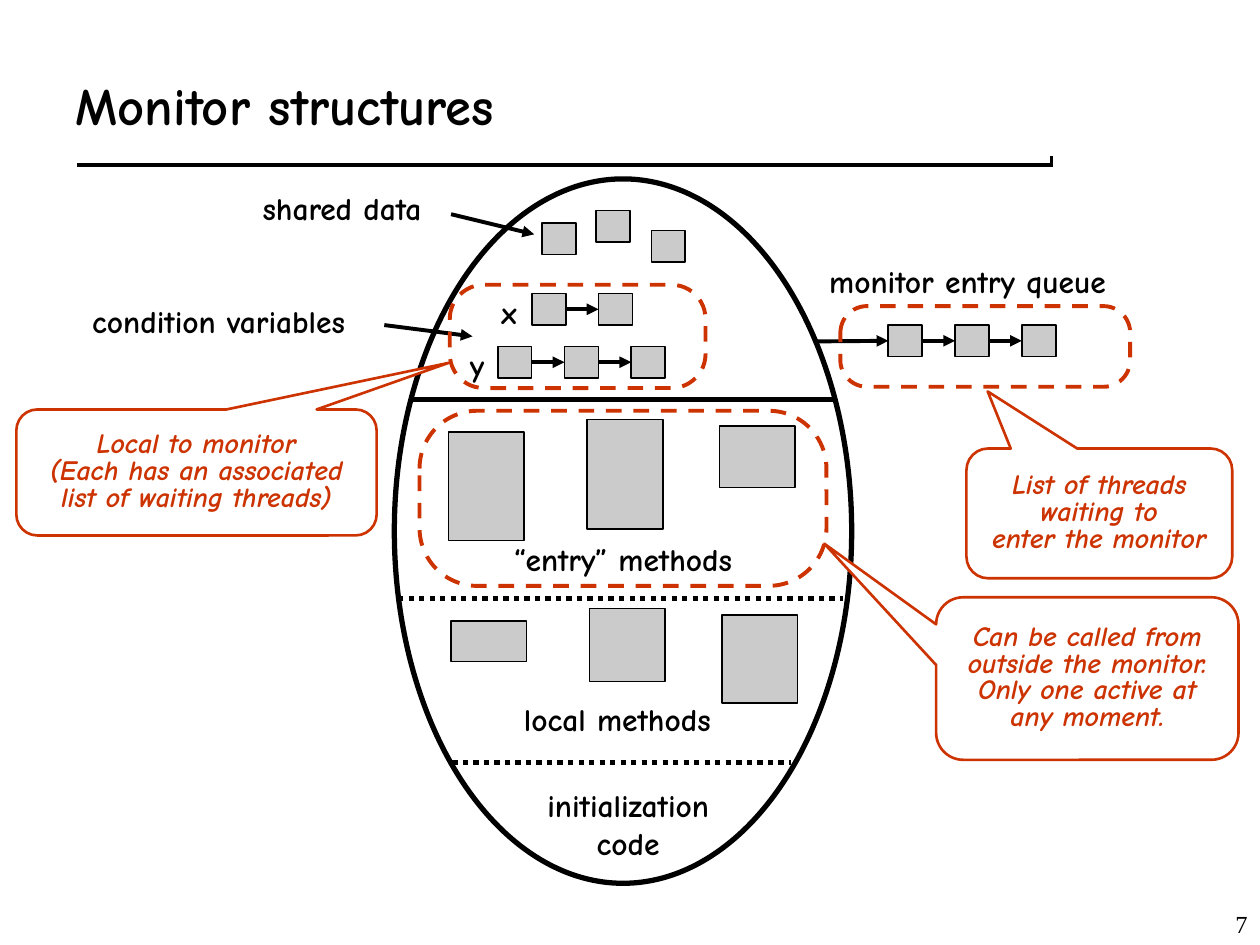
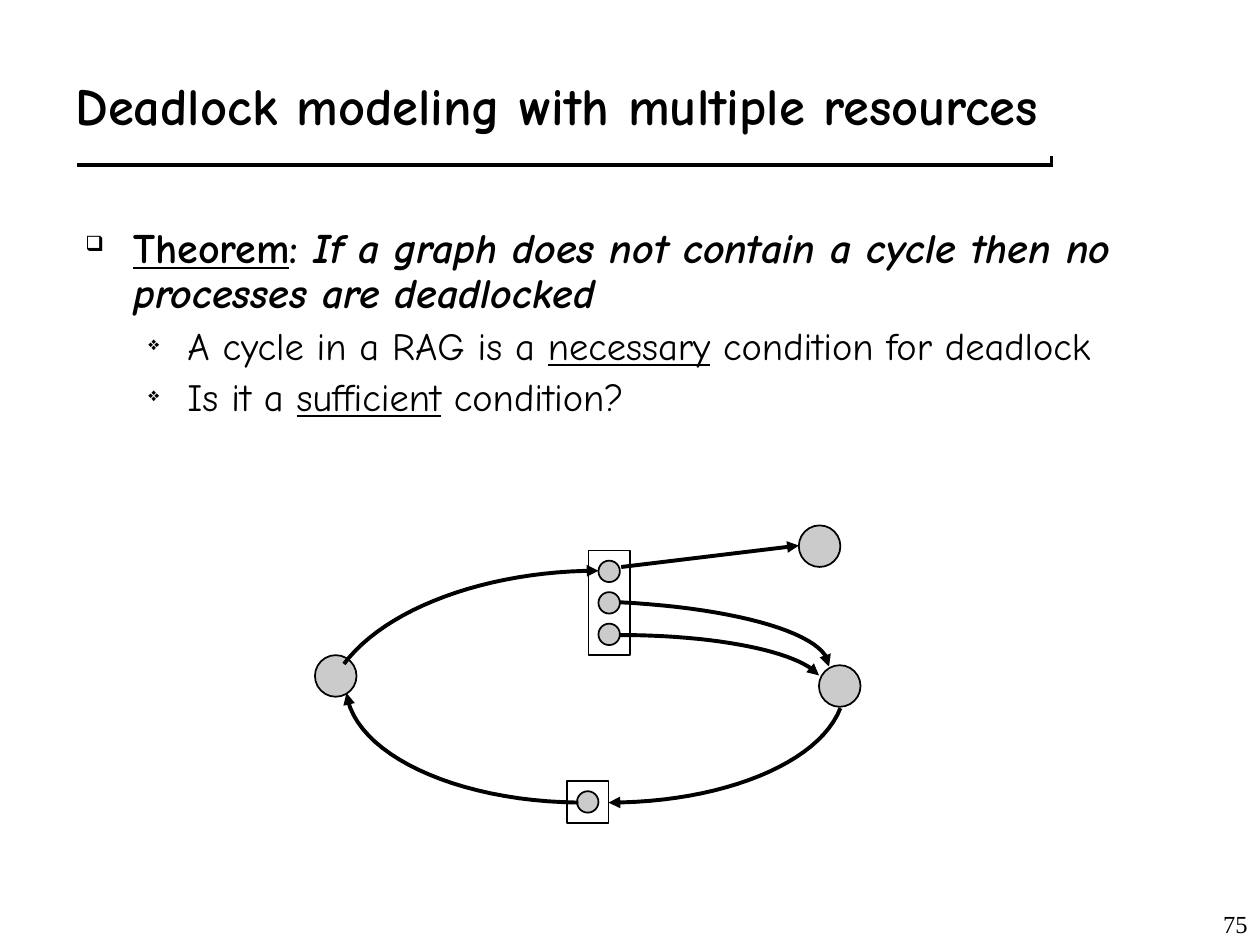
from lxml import etree
from pptx import Presentation
from pptx import util as u
from pptx.dml.color import RGBColor
from pptx.enum import dml, shapes, text
from pptx.oxml import ns

BLACK = RGBColor(0x00, 0x00, 0x00)
WHITE = RGBColor(0xFF, 0xFF, 0xFF)
GREY = RGBColor(0xCB, 0xCB, 0xCB)
RUST = RGBColor(0xCC, 0x33, 0x00)
HAND, SERIF = "Comic Neue", "Times New Roman"
RECT = shapes.MSO_SHAPE.RECTANGLE
OVAL = shapes.MSO_SHAPE.OVAL
ROUND = shapes.MSO_SHAPE.ROUNDED_RECTANGLE
CALLOUT = shapes.MSO_SHAPE.ROUNDED_RECTANGULAR_CALLOUT
LEFT, RIGHT = 1, 3
CENTER = text.PP_ALIGN.CENTER
BOX_W, BOX_H, BOX_PITCH = 0.27, 0.25, 0.53
CURVE_STEPS = 24


def inches(*values):
    return [u.Inches(v) for v in values]


def add_sub(parent, tag, **attrs):
    return etree.SubElement(parent, ns.qn(tag), attrs)


def set_font(font, size, color=BLACK, name=HAND, bold=None, italic=None):
    font.size, font.name = u.Pt(size), name
    font.bold, font.italic = bold, italic
    font.color.rgb = color


def set_line(line, width, color=BLACK, dash=None):
    line.width = u.Pt(width)
    line.color.rgb = color
    if dash:
        line.dash_style = dash


def add_arrowhead(line):
    add_sub(line._get_or_add_ln(), "a:tailEnd", type="triangle")


def write_lines(tf, lines, align, spacing=None, **font):
    for i, line in enumerate(lines):
        p = tf.paragraphs[0] if i == 0 else tf.add_paragraph()
        p.text, p.alignment, p.line_spacing = line, align, spacing
        set_font(p.font, **font)


def add_text(s, at, lines, align=CENTER, anchor=text.MSO_ANCHOR.TOP,
             wrap=False, **font):
    tf = s.shapes.add_textbox(*inches(*at)).text_frame
    tf.word_wrap, tf.vertical_anchor = wrap, anchor
    write_lines(tf, lines, align, **font)


def add_label(s, at, *lines):
    add_text(s, at, lines, size=18, bold=True)


def add_outline(s, kind, at, fill=None, width=1, color=BLACK, dash=None):
    sp = s.shapes.add_shape(kind, *inches(*at))
    sp.shadow.inherit = False
    if fill is None:
        sp.fill.background()
    else:
        sp.fill.solid()
        sp.fill.fore_color.rgb = fill
    set_line(sp.line, width, color, dash)
    return sp


def add_line(s, start, end, width, color=BLACK, dash=None, arrow=False):
    c = s.shapes.add_connector(shapes.MSO_CONNECTOR.STRAIGHT,
                               *inches(*start, *end))
    set_line(c.line, width, color, dash)
    if arrow:
        add_arrowhead(c.line)
    add_sub(c._element.spPr, "a:effectLst")
    return c


def add_arrow(s, start, end):
    return add_line(s, start, end, 2.25, arrow=True)


def add_chain(s, x, y, count):
    boxes = [add_outline(s, RECT, (x + i * BOX_PITCH, y, BOX_W, BOX_H), GREY)
             for i in range(count)]
    for a, b in zip(boxes, boxes[1:]):
        c = add_arrow(s, (x, y), (x, y))
        c.begin_connect(a, RIGHT)
        c.end_connect(b, LEFT)
    return boxes


def add_callout(s, at, tip, *lines):
    sp = add_outline(s, CALLOUT, at, WHITE, 1.5, RUST)
    sp.adjustments[0], sp.adjustments[1] = tip
    tf = sp.text_frame
    tf.word_wrap, tf.vertical_anchor = False, text.MSO_ANCHOR.MIDDLE
    write_lines(tf, lines, CENTER, 0.8, size=16, color=RUST,
                bold=True, italic=True)


def add_region(s, at):
    sp = add_outline(s, ROUND, at, None, 2.25, RUST, dml.MSO_LINE.DASH)
    sp.adjustments[0] = 0.33


def add_curve(s, *controls):
    def point(t):
        weights = ((1 - t) ** 3, 3 * t * (1 - t) ** 2,
                   3 * t * t * (1 - t), t ** 3)
        return inches(*(sum(w * c[axis] for w, c in zip(weights, controls))
                        for axis in (0, 1)))

    points = [point(i / CURVE_STEPS) for i in range(CURVE_STEPS + 1)]
    fb = s.shapes.build_freeform(*points[0])
    fb.add_line_segments(points[1:], close=False)
    sp = fb.convert_to_shape()
    sp.shadow.inherit = False
    sp.fill.background()
    set_line(sp.line, 2.25)
    add_arrowhead(sp.line)


def add_bullet(tf, first, char, indent, hang, size, before, runs):
    p = tf.paragraphs[0] if first else tf.add_paragraph()
    pPr = p._p.get_or_add_pPr()
    pPr.set("marL", str(u.Inches(indent)))
    pPr.set("indent", str(-u.Inches(hang)))
    add_sub(add_sub(pPr, "a:buClr"), "a:srgbClr", val=str(BLACK))
    add_sub(pPr, "a:buSzPct", val="50000")
    add_sub(pPr, "a:buChar", char=char)
    p.line_spacing = 0.9
    p.space_before = u.Pt(before)
    set_font(p.font, size, bold=first)
    for words, style in runs:
        r = p.add_run()
        r.text = words
        r.font.underline = "u" in style or None
        r.font.italic = "i" in style or None


def add_frame(prs, title, number):
    s = prs.slides.add_slide(prs.slide_layouts[6])
    add_line(s, (0.61, 1.28), (8.36, 1.28), 6)
    add_line(s, (0.58, 1.25), (8.33, 1.25), 6, WHITE)
    add_text(s, (7.92, 7, 2.08, 0.5), [number], text.PP_ALIGN.RIGHT,
             text.MSO_ANCHOR.BOTTOM, True, size=14, name=SERIF)
    add_text(s, (0.5, 0.33, 8.75, 1), [title], text.PP_ALIGN.LEFT,
             text.MSO_ANCHOR.MIDDLE, True, size=30, bold=True)
    return s


def build_monitor(prs):
    s = add_frame(prs, "Monitor structures", "7")
    add_outline(s, OVAL, (3.13, 1.42, 3.63, 5.59), width=3)
    add_line(s, (3.26, 3.17), (6.61, 3.17), 3)
    for left, right, y in ((3.16, 6.69, 4.75), (3.59, 6.28, 6.05)):
        add_line(s, (left, y), (right, y), 3, dash=dml.MSO_LINE.ROUND_DOT)

    methods = ((3.56, 3.43, 0.86), (4.66, 3.33, 0.87), (5.71, 3.38, 0.49),
               (3.58, 4.93, 0.32), (4.68, 4.83, 0.58), (5.73, 4.88, 0.7))
    for x, y, height in methods:
        add_outline(s, RECT, (x, y, 0.6, height), GREY)
    for x, y in ((4.3, 1.77), (4.73, 1.67), (5.17, 1.83)):
        add_outline(s, RECT, (x, y, BOX_W, BOX_H), GREY)

    add_chain(s, 4.22, 2.33, 2)
    add_chain(s, 3.95, 2.75, 3)
    queue = add_chain(s, 7.05, 2.58, 3)
    add_arrow(s, (6.46, 2.71), (7.05, 2.71)).end_connect(queue[0], LEFT)
    add_arrow(s, (3.58, 1.7), (4.24, 1.86))
    add_arrow(s, (3.05, 2.58), (3.75, 2.67))

    add_label(s, (1.98, 1.45, 1.47, 0.4), "shared data")
    add_label(s, (0.63, 2.35, 2.21, 0.4), "condition variables")
    add_label(s, (3.88, 2.28, 0.32, 0.4), "x")
    add_label(s, (3.63, 2.7, 0.31, 0.4), "y")
    add_label(s, (6.48, 2.03, 2.4, 0.4), "monitor entry queue")
    add_label(s, (3.98, 4.24, 1.93, 0.4), "“entry” methods")
    add_label(s, (4.06, 5.51, 1.68, 0.4), "local methods")
    add_label(s, (4.24, 6.19, 1.49, 0.7), "initialization", "code")

    add_callout(s, (7.67, 3.56, 2.11, 1.03), (-0.42, -0.94),
                "List of threads", "waiting to", "enter the monitor")
    add_callout(s, (7.43, 4.74, 2.4, 1.29), (-0.87, -0.83),
                "Can be called from", "outside the monitor.",
                "Only one active at", "any moment.")
    add_callout(s, (0.13, 3.25, 2.86, 1), (0.7, -0.87),
                "Local to monitor", "(Each has an associated",
                "list of waiting threads)")
    add_region(s, (3.57, 2.26, 2.03, 0.82))
    add_region(s, (3.33, 3.26, 3.23, 1.39))
    add_region(s, (6.67, 2.43, 2.3, 0.64))


def add_resource(s, x, y, units):
    for i in range(units):
        add_outline(s, OVAL, (x + 0.08, y + 0.08 + i * 0.25, 0.17, 0.17), GREY)
    add_outline(s, RECT, (x, y, 0.33, 0.33 + (units - 1) * 0.25))


def build_deadlock(prs):
    s = add_frame(prs, "Deadlock modeling with multiple resources", "75")
    tf = s.shapes.add_textbox(*inches(0.58, 1.75, 8.5, 4.92)).text_frame
    tf.word_wrap = True
    add_bullet(tf, True, "❑", 0.38, 0.38, 24, 0, (
        ("Theorem", "u"), (": ", ""),
        ("If a graph does not contain a cycle then no processes are "
         "deadlocked", "i")))
    for runs in ((("A cycle in a RAG is a ", ""), ("necessary", "u"),
                  (" condition for deadlock", "")),
                 (("Is it a ", ""), ("sufficient", "u"),
                  (" condition?", ""))):
        add_bullet(tf, False, "❖", 0.81, 0.31, 22, 5.5, runs)

    add_resource(s, 4.67, 4.37, 3)
    add_resource(s, 4.5, 6.2, 1)
    for x, y in ((2.5, 5.2), (6.34, 4.17), (6.5, 5.28)):
        add_outline(s, OVAL, (x, y, 0.33, 0.33), GREY)
    add_curve(s, (4.92, 5.04), (5.68, 5.04), (6.34, 5.17), (6.5, 5.36))
    add_curve(s, (4.92, 4.78), (5.88, 4.83), (6.58, 5.04), (6.58, 5.29))
    add_curve(s, (2.73, 5.27), (3.06, 4.83), (3.86, 4.53), (4.75, 4.53))
    add_curve(s, (6.67, 5.62), (6.5, 6.06), (5.73, 6.37), (4.83, 6.37))
    add_curve(s, (4.59, 6.37), (3.61, 6.36), (2.81, 5.98), (2.75, 5.5))
    add_arrow(s, (4.93, 4.5), (6.34, 4.33))


def main():
    prs = Presentation()
    prs.slide_width, prs.slide_height = inches(10, 7.5)
    build_monitor(prs)
    build_deadlock(prs)
    prs.save("out.pptx")


if __name__ == "__main__":
    main()
